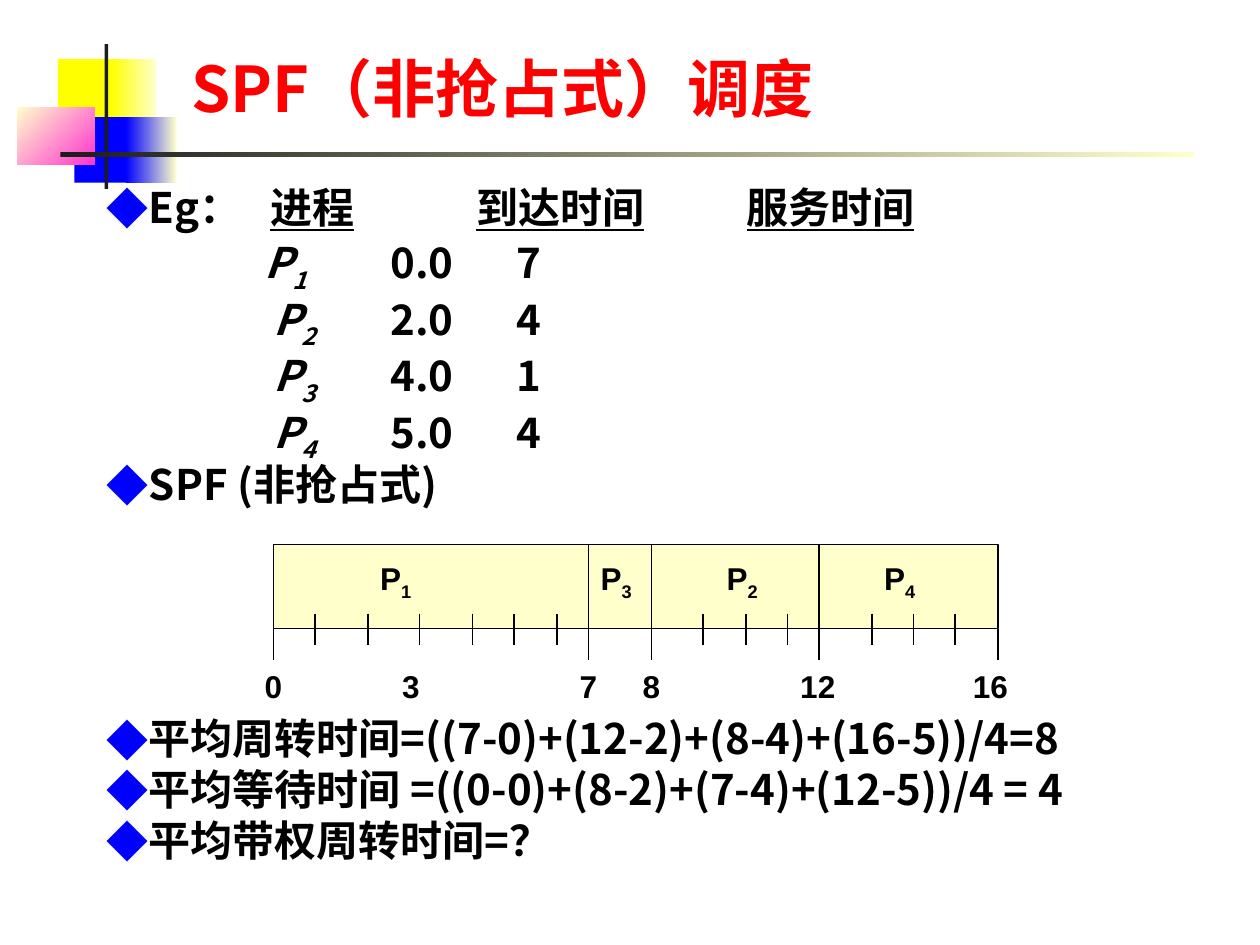
from pptx import Presentation
from pptx.dml.color import RGBColor
from pptx.enum.shapes import MSO_CONNECTOR, MSO_SHAPE
from pptx.enum.text import MSO_ANCHOR, PP_ALIGN
from pptx.oxml.ns import qn
from pptx.util import Inches, Pt
from lxml import etree

RECT = MSO_SHAPE.RECTANGLE
STRAIGHT = MSO_CONNECTOR.STRAIGHT
MIDDLE = MSO_ANCHOR.MIDDLE
CENTER = PP_ALIGN.CENTER
CJK, LATIN = "Noto Sans CJK SC", "Arial"
BLACK, BLUE, CREAM, RED = "000000", "0000FF", "FFFFCC", "FF0000"

TITLE = "SPF（非抢占式）调度"
DECORATION = [
    ((0.46, 0.47, 0.48, 0.52), ["FFFF00"], 0),
    ((0.88, 0.47, 0.36, 0.52), ["FFFF00", CREAM], 0),
    ((0.59, 0.93, 0.46, 0.52), [BLUE], 0),
    ((1, 0.93, 0.4, 0.52), [BLUE, CREAM], 0),
    ((0.14, 0.85, 0.61, 0.46), [CREAM, "FF33CC"], 315),
    ((0.83, 0.35, 0.03, 1.15), ["1C1C1C"], 0),
    ((0.48, 1.21, 9, 0.04), ["1C1C1C", CREAM], 0),
]
HEADER = [("Eg：   ", ""), ("进程", "u"), ("\t ", ""), ("到达时间", "u"),
          ("\t   ", ""), ("服务时间", "u")]
PROCESSES = [("1", "0.0", "7"), ("2", "2.0", "4"), ("3", "4.0", "1"), ("4", "5.0", "4")]
METHOD = "SPF (非抢占式)"
AVERAGES = [
    "平均周转时间=((7-0)+(12-2)+(8-4)+(16-5))/4=8",
    "平均等待时间 =((0-0)+(8-2)+(7-4)+(12-5))/4 = 4",
    "平均带权周转时间=？",
]
HEADER_TABS = [(1.75, "ctr"), (3.56, "ctr"), (5.63, "ctr")]
ROW_TABS = [(1.25, "l"), (2.25, "l"), (3.25, "l")]
CHART_GAP = 122.5

BAR_LEFT, BAR_RIGHT, BAR_TOP, BAR_BOTTOM = 2.17, 7.92, 4.32, 4.99
AXIS_BOTTOM, TICK_TOP, TICK_BOTTOM = 5.24, 4.87, 5.12
SWITCHES = [4.67, 5.17, 6.5]
TICKS = [2.5, 2.92, 3.33, 3.75, 4.08, 4.42, 5.58, 5.92, 6.25, 6.92, 7.25, 7.58]
TIMES = [("0", 2.17), ("3", 3.26), ("7", 4.67), ("8", 5.17), ("12", 6.49), ("16", 7.86)]
BURSTS = [("1", 3.14), ("3", 4.89), ("2", 5.89), ("4", 7.14)]

prs = Presentation()
prs.slide_width, prs.slide_height = Inches(10), Inches(7.5)
slide = prs.slides.add_slide(prs.slide_layouts[6])


def color(value):
    return RGBColor.from_string(value)


def add_rect(box, colors, angle=0):
    rect = slide.shapes.add_shape(RECT, *map(Inches, box))
    rect.shadow.inherit = False
    rect.line.fill.background()
    if len(colors) == 1:
        rect.fill.solid()
        rect.fill.fore_color.rgb = color(colors[0])
    else:
        rect.fill.gradient()
        rect.fill.gradient_angle = angle
        for stop, value, position in zip(rect.fill.gradient_stops, colors, (0, 1)):
            stop.color.rgb = color(value)
            stop.position = position
    return rect


def add_line(x, top, bottom):
    line = slide.shapes.add_connector(STRAIGHT, *map(Inches, (x, top, x, bottom)))
    line.line.color.rgb = color(BLACK)
    line.line.width = Pt(0.75)
    etree.SubElement(line._element.spPr, qn("a:effectLst"))


def add_text(box, wrap=True):
    frame = slide.shapes.add_textbox(*map(Inches, box)).text_frame
    frame.word_wrap = wrap
    return frame


def add_runs(paragraph, runs, size, font=CJK, ink=BLACK):
    for text, style in runs:
        run = paragraph.add_run()
        run.text = text
        run.font.size, run.font.bold, run.font.name = Pt(size), True, font
        run.font.color.rgb = color(ink)
        run.font.underline = "u" in style
        run.font.italic = "i" in style
        props = run._r.get_or_add_rPr()
        etree.SubElement(props, qn("a:ea"), typeface=font)
        if "s" in style:
            props.set("baseline", "-25000")


def add_label(center, top, width, height, runs):
    frame = add_text((center - width / 2, top, width, height), wrap=False)
    frame.vertical_anchor = MIDDLE
    frame.paragraphs[0].alignment = CENTER
    add_runs(frame.paragraphs[0], runs, 18, LATIN)


def add_body_line(frame, runs, tabs=(), bullet=True, before=6):
    first = frame.paragraphs[0]
    paragraph = frame.add_paragraph() if first.runs else first
    paragraph.line_spacing = 0.8
    paragraph.space_before = Pt(before)
    props = paragraph._p.get_or_add_pPr()
    if bullet:
        props.set("marL", str(Inches(0.25)))
        props.set("indent", str(-Inches(0.25)))
        bullet_color = etree.SubElement(props, qn("a:buClr"))
        etree.SubElement(bullet_color, qn("a:srgbClr"), val=BLUE)
        etree.SubElement(props, qn("a:buFont"), typeface=CJK)
        etree.SubElement(props, qn("a:buChar"), char="◆")
    if tabs:
        stops = etree.SubElement(props, qn("a:tabLst"))
        for position, align in tabs:
            etree.SubElement(stops, qn("a:tab"), pos=str(Inches(position)), algn=align)
    add_runs(paragraph, runs, 24)


for box, colors, angle in DECORATION:
    add_rect(box, colors, angle)

title = add_text((1.42, 0.24, 7.28, 0.91))
title.vertical_anchor = MIDDLE
add_runs(title.paragraphs[0], [(TITLE, "")], 36, ink=RED)

body = add_text((0.75, 1.47, 8.66, 5.75))
add_body_line(body, HEADER, HEADER_TABS)
for number, arrival, service in PROCESSES:
    lead = "\t" if number == "1" else "\t "
    runs = [(lead, ""), ("P", "i"), (number + "\t", "is"), (f"{arrival}\t{service}", "")]
    add_body_line(body, runs, ROW_TABS, bullet=False)
add_body_line(body, [(METHOD, "")])
for index, average in enumerate(AVERAGES):
    add_body_line(body, [(average, "")], before=6 if index else CHART_GAP)

bar = add_rect((BAR_LEFT, BAR_TOP, BAR_RIGHT - BAR_LEFT, BAR_BOTTOM - BAR_TOP), [CREAM])
bar.line.color.rgb = color(BLACK)
bar.line.width = Pt(0.75)
for x in (BAR_LEFT, BAR_RIGHT):
    add_line(x, BAR_BOTTOM, AXIS_BOTTOM)
for x in SWITCHES:
    add_line(x, BAR_TOP, AXIS_BOTTOM)
for x in TICKS:
    add_line(x, TICK_TOP, TICK_BOTTOM)
for time, x in TIMES:
    add_label(x, AXIS_BOTTOM, 0.2 + 0.14 * len(time), 0.4, [(time, "")])
for number, x in BURSTS:
    add_label(x, 4.39, 0.45, 0.44, [("P", ""), (number, "s")])

prs.save("out.pptx")
